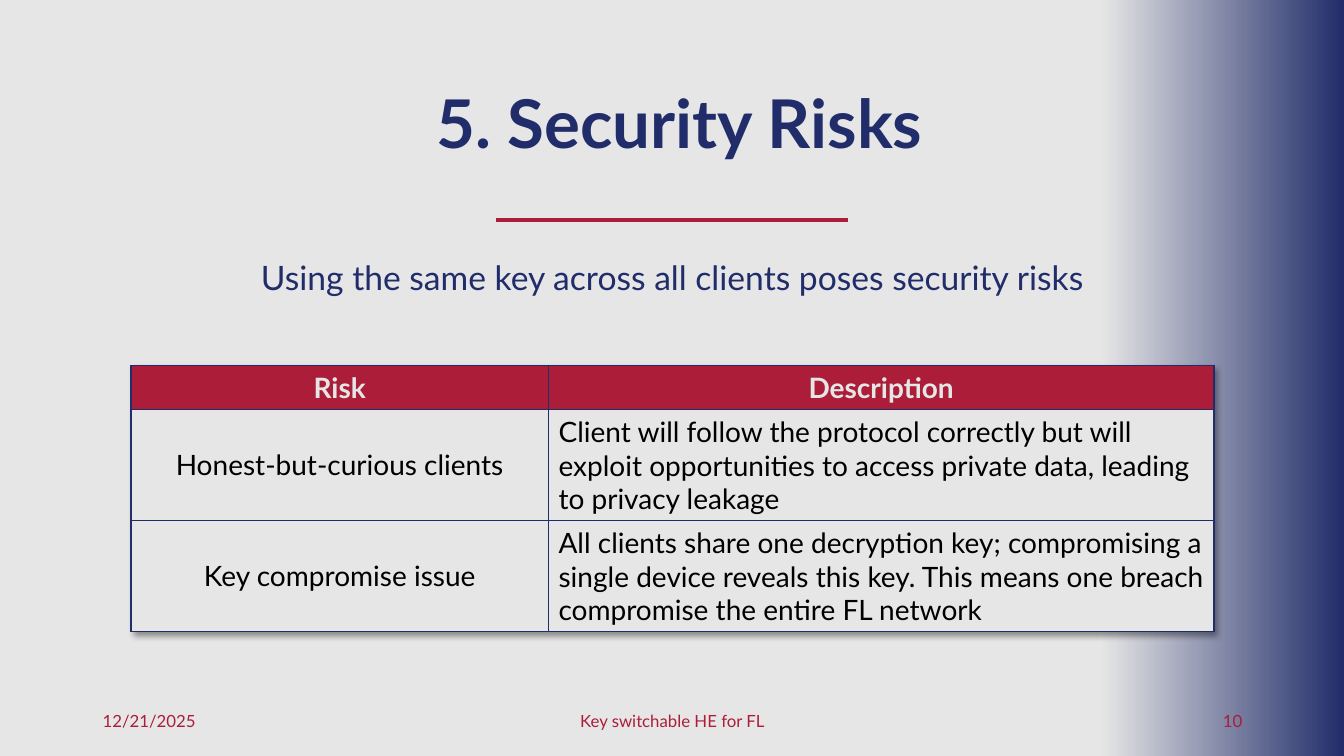
from lxml import etree
from pptx import Presentation, util as u
from pptx.dml.color import RGBColor
from pptx.enum import shapes, text
from pptx.oxml import ns

NAVY, RED, GREY, BLACK = "212D6A", "AB1D38", "E6E6E6", "000000"
LEFT, MID, RIGHT = text.PP_ALIGN.LEFT, text.PP_ALIGN.CENTER, text.PP_ALIGN.RIGHT


def color(code):
    return RGBColor.from_string(code)


def node(root, tag, **attrs):
    return etree.SubElement(root, ns.qn(tag), attrs)


class Deck:
    font = "Lato"

    def __init__(self, slide):
        self.slide = slide

    def style(self, frame, words, size, code, align=LEFT, bold=False):
        frame.text = words
        frame.word_wrap = True
        para = frame.paragraphs[0]
        para.alignment = align
        for run in para.runs:
            run.font.name = self.font
            run.font.size = u.Pt(size)
            run.font.bold = bold
            run.font.color.rgb = color(code)
        return para

    def label(self, box, words, size, code, align=LEFT, bold=False,
              anchor=text.MSO_ANCHOR.MIDDLE):
        frame = self.slide.shapes.add_textbox(*map(u.Inches, box)).text_frame
        frame.vertical_anchor = anchor
        return self.style(frame, words, size, code, align, bold)

    def panel(self, box, *codes):
        shape = self.slide.shapes.add_shape(
            shapes.MSO_SHAPE.RECTANGLE, *map(u.Inches, box))
        shape.shadow.inherit = False
        shape.line.fill.background()
        if len(codes) == 1:
            shape.fill.solid()
            shape.fill.fore_color.rgb = color(codes[0])
        else:
            shape.fill.gradient()
            shape.fill.gradient_angle = 0
            for stop, code in zip(shape.fill.gradient_stops, codes):
                stop.color.rgb = color(code)

    def rule(self, ends, code, width):
        line = self.slide.shapes.add_connector(
            shapes.MSO_CONNECTOR.STRAIGHT, *map(u.Inches, ends))
        line.line.color.rgb = color(code)
        line.line.width = u.Pt(width)
        node(line._element.spPr, "a:effectLst")

    def cell(self, cell, words, fill, code, align, bold):
        self.style(cell.text_frame, words, 20, code, align, bold)
        cell.vertical_anchor = text.MSO_ANCHOR.MIDDLE
        props = cell._tc.get_or_add_tcPr()
        for side in "LRTB":
            edge = node(props, "a:ln" + side, w=str(u.Pt(1)))
            node(node(edge, "a:solidFill"), "a:srgbClr", val=NAVY)
        cell.fill.solid()
        cell.fill.fore_color.rgb = color(fill)

    def table(self, box, cols, rows, data):
        grid = self.slide.shapes.add_table(
            len(rows), len(cols), *map(u.Inches, box)).table
        grid.first_row = grid.horz_banding = False
        for col, width in zip(grid.columns, cols):
            col.width = u.Inches(width)
        for row, height in zip(grid.rows, rows):
            row.height = u.Inches(height)
        for r, line in enumerate(data):
            for c, words in enumerate(line):
                head = r == 0
                self.cell(grid.cell(r, c), words, RED if head else GREY,
                          GREY if head else BLACK,
                          MID if head or c == 0 else LEFT, head)
        # Soft shadow below and to the right
        props = grid._tbl.tblPr
        effect = node(props, "a:effectLst")
        props.insert(0, effect)
        cast = node(effect, "a:outerShdw", blurRad=str(u.Pt(4)),
                    dist=str(u.Pt(3)), dir="2700000", algn="tl")
        node(node(cast, "a:srgbClr", val=BLACK), "a:alpha", val="40000")


def main():
    show = Presentation()
    show.slide_width, show.slide_height = u.Inches(13.33), u.Inches(7.5)
    deck = Deck(show.slides.add_slide(show.slide_layouts[6]))

    # Backdrop
    deck.panel((0, 0, 13.33, 7.5), GREY)
    deck.panel((10.92, 0, 2.41, 7.5), GREY, NAVY)

    # Footer
    for left, width, words, align in (
            (0.92, 3, "12/21/2025", LEFT),
            (4.42, 4.5, "Key switchable HE for FL", MID),
            (9.42, 3, "10", RIGHT)):
        deck.label((left, 6.95, width, 0.4), words, 12, RED, align)

    # Title and lead
    title = deck.label((3.21, 0.64, 7.06, 1.23), "5. Security Risks",
                       48, NAVY, MID, True)
    title.line_spacing = 0.9
    title.space_after = u.Pt(6)
    deck.rule((4.92, 2.18, 8.41, 2.18), RED, 3)
    deck.label((2.49, 2.5, 8.5, 0.5),
               "Using the same key across all clients poses security risks",
               24, NAVY, anchor=text.MSO_ANCHOR.TOP)

    # Risk table
    deck.table((1.3, 3.63, 10.74, 2.63), (4.14, 6.6), (0.43, 1.1, 1.1), (
        ("Risk", "Description"),
        ("Honest-but-curious clients",
         "Client will follow the protocol correctly but will exploit "
         "opportunities to access private data, leading to privacy leakage"),
        ("Key compromise issue",
         "All clients share one decryption key; compromising a single device "
         "reveals this key. This means one breach compromise the entire FL "
         "network")))

    show.save("out.pptx")


if __name__ == "__main__":
    main()
